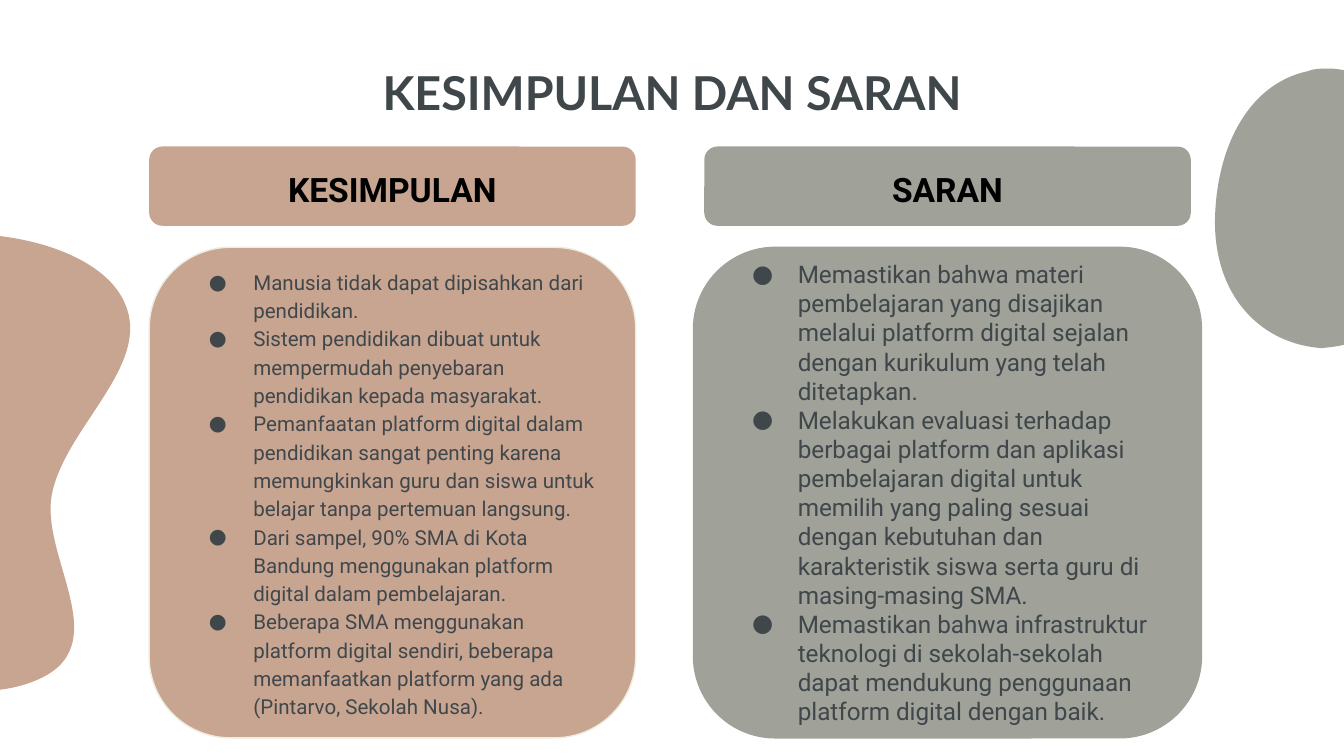
from dataclasses import dataclass
from math import cos, radians, sin

from lxml.etree import SubElement
from pptx import Presentation
from pptx.dml.color import RGBColor
from pptx.enum.shapes import MSO_SHAPE
from pptx.enum.text import MSO_ANCHOR, PP_ALIGN
from pptx.oxml.ns import qn
from pptx.util import Pt

PX = 9144


@dataclass(frozen=True)
class Theme:
    clay: str = "C8A591"
    sage: str = "A0A299"
    cream: str = "EDECDF"
    ink: str = "40474B"
    black: str = "000000"
    title_font: str = "Lato"
    body_font: str = "Roboto"
    title_size: int = 25
    header_size: int = 18
    conclusion_size: int = 11
    suggestion_size: int = 13


THEME = Theme()

CONCLUSIONS = [
    "Manusia tidak dapat dipisahkan dari pendidikan.",
    "Sistem pendidikan dibuat untuk mempermudah penyebaran pendidikan kepada masyarakat.",
    "Pemanfaatan platform digital dalam pendidikan sangat penting karena memungkinkan guru dan siswa untuk belajar tanpa pertemuan langsung.",
    "Dari sampel, 90% SMA di Kota Bandung menggunakan platform digital dalam pembelajaran.",
    "Beberapa SMA menggunakan platform digital sendiri, beberapa memanfaatkan platform yang ada (Pintarvo, Sekolah Nusa).",
]
SUGGESTIONS = [
    "Memastikan bahwa materi pembelajaran yang disajikan melalui platform digital sejalan dengan kurikulum yang telah ditetapkan.",
    "Melakukan evaluasi terhadap berbagai platform dan aplikasi pembelajaran digital untuk memilih yang paling sesuai dengan kebutuhan dan karakteristik siswa serta guru di masing-masing SMA.",
    "Memastikan bahwa infrastruktur teknologi di sekolah-sekolah dapat mendukung penggunaan platform digital dengan baik.",
]

WAVE = [
    (217, 67),
    (225, 115), (226, 165), (295, 140),
    (363, 115), (461, 135), (480, 181),
    (500, 226), (437, 272), (426, 321),
    (415, 369), (477, 437), (412, 462),
    (348, 488), (206, 443), (234, 372),
    (261, 300), (195, 264), (138, 223),
    (81, 181), (30, 61), (99, 20),
    (169, -21), (210, 18), (217, 67),
]
PEBBLE = [
    (84, 0),
    (79, 0), (74, 0), (69, 2),
    (23, 12), (0, 62), (0, 116),
    (1, 173), (37, 205), (79, 208),
    (135, 204), (151, 170), (155, 114),
    (159, 62), (134, 0), (84, 0),
]


def emu(*lengths):
    return [round(length * PX) for length in lengths]


def paint(shape, fill, line=None):
    shape.shadow.inherit = False
    shape.fill.solid()
    shape.fill.fore_color.rgb = RGBColor.from_string(fill)
    if line:
        shape.line.color.rgb = RGBColor.from_string(line)
        shape.line.width = Pt(0.75)
    else:
        shape.line.fill.background()


def set_font(para, name, size, color, bold=False):
    para.font.name = name
    para.font.size = Pt(size)
    para.font.bold = bold
    para.font.color.rgb = RGBColor.from_string(color)


def prepare_frame(shape, anchor):
    frame = shape.text_frame
    frame.word_wrap = True
    frame.vertical_anchor = anchor
    inset, = emu(10)
    frame.margin_left = frame.margin_right = inset
    frame.margin_top = frame.margin_bottom = inset
    return frame


def add_bullet(para, size, hanging):
    props = para._p.get_or_add_pPr()
    indent, hang = emu(50, hanging)
    props.set("marL", str(indent))
    props.set("indent", str(-hang))
    color = SubElement(props, qn("a:buClr"))
    SubElement(color, qn("a:srgbClr"), val=THEME.ink)
    SubElement(props, qn("a:buSzPts"), val=str(size * 100))
    SubElement(props, qn("a:buFont"), typeface=THEME.body_font)
    SubElement(props, qn("a:buChar"), char="●")


def rotate(point, center, angle):
    turn = radians(angle)
    dx, dy = point[0] - center[0], point[1] - center[1]
    return (center[0] + dx * cos(turn) - dy * sin(turn),
            center[1] + dx * sin(turn) + dy * cos(turn))


def add_curve_step(outline, kind, points):
    step = SubElement(outline, qn(kind))
    for point in points:
        x, y = emu(*point)
        SubElement(step, qn("a:pt"), x=str(x), y=str(y))


def draw_blob(page, box, knots, fill, angle=0):
    left, top, width, height = emu(*box)
    builder = page.shapes.build_freeform(0, 0)
    builder.add_line_segments([(width, 0), (width, height), (0, height)])
    blob = builder.convert_to_shape(left, top)
    outline = next(blob._element.iter(qn("a:path")))
    for step in list(outline):
        outline.remove(step)
    center = (box[2] / 2, box[3] / 2)
    points = [rotate(knot, center, -angle) for knot in knots]
    add_curve_step(outline, "a:moveTo", points[:1])
    for i in range(1, len(points), 3):
        add_curve_step(outline, "a:cubicBezTo", points[i:i + 3])
    SubElement(outline, qn("a:close"))
    blob.rotation = angle
    paint(blob, fill)


def draw_title(page, box, text):
    title = page.shapes.add_textbox(*emu(*box))
    para = prepare_frame(title, MSO_ANCHOR.BOTTOM).paragraphs[0]
    para.text = text
    para.alignment = PP_ALIGN.CENTER
    set_font(para, THEME.title_font, THEME.title_size, THEME.ink, True)


def draw_panel(page, box, fill, line=None):
    panel = page.shapes.add_shape(MSO_SHAPE.ROUNDED_RECTANGLE, *emu(*box))
    paint(panel, fill, line)
    return prepare_frame(panel, MSO_ANCHOR.MIDDLE)


def draw_card(page, box, items, fill, line, size, hanging, spacing=None, lead=0):
    frame = draw_panel(page, box, fill, line)
    for i, item in enumerate(items):
        para = frame.add_paragraph() if i else frame.paragraphs[0]
        para.text = item
        para.alignment = PP_ALIGN.LEFT
        para.line_spacing = spacing
        para.space_before = Pt(0 if i else lead)
        add_bullet(para, size, hanging)
        set_font(para, THEME.body_font, size, THEME.ink)


def draw_header(page, box, text, fill):
    para = draw_panel(page, box, fill).paragraphs[0]
    para.text = text
    para.alignment = PP_ALIGN.CENTER
    para.line_spacing = 1.15
    para.space_before = para.space_after = Pt(12)
    set_font(para, THEME.body_font, THEME.header_size, THEME.black, True)


def main():
    deck = Presentation()
    deck.slide_width, deck.slide_height = emu(1000, 562.5)
    page = deck.slides.add_slide(deck.slide_layouts[6])

    draw_blob(page, (-387, 45, 512, 465), WAVE, THEME.clay, angle=11.2)
    draw_blob(page, (904, 51, 160, 209), PEBBLE, THEME.sage)
    draw_title(page, (78, 40, 844, 59), "KESIMPULAN DAN SARAN")
    draw_card(page, (516, 184, 378, 365), SUGGESTIONS, THEME.sage, THEME.sage,
              THEME.suggestion_size, hanging=34)
    draw_card(page, (111, 184, 362, 365), CONCLUSIONS, THEME.clay, THEME.cream,
              THEME.conclusion_size, hanging=33, spacing=1.15, lead=12)
    draw_header(page, (111, 109, 362, 59), "KESIMPULAN", THEME.clay)
    draw_header(page, (524, 109, 362, 59), "SARAN", THEME.sage)
    deck.save("out.pptx")


if __name__ == "__main__":
    main()
